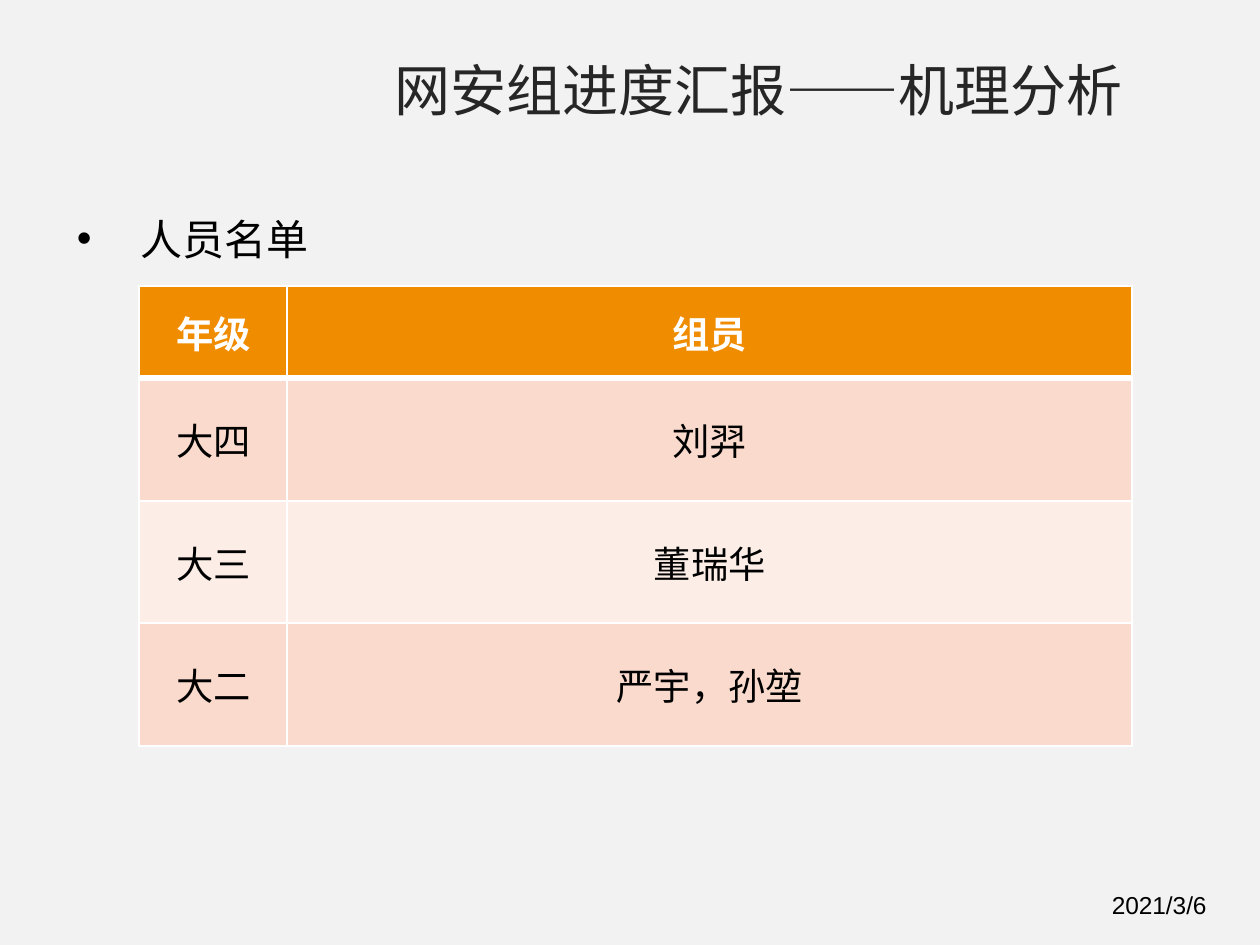
from lxml import etree
from pptx import Presentation
from pptx.dml.color import RGBColor
from pptx.enum import text
from pptx.oxml import ns
from pptx.util import Inches, Pt

BACKGROUND = RGBColor(0xF2, 0xF2, 0xF2)
INK = RGBColor(0x26, 0x26, 0x26)
BLACK = RGBColor(0, 0, 0)
WHITE = RGBColor(0xFF, 0xFF, 0xFF)
ORANGE = RGBColor(0xF0, 0x8C, 0x00)
BANDS = [RGBColor(0xF9, 0xDA, 0xCC), RGBColor(0xFC, 0xEE, 0xE7)]

SLIDE_WIDTH = Inches(7.5)
SLIDE_HEIGHT = SLIDE_WIDTH * 3 // 4

CJK_FONT = "Noto Sans CJK SC"
# text, (left, top, width, height), size, font, colour
TITLE = ("网安组进度汇报——机理分析", (2.25, 0.28, 4.8, 0.5), 24, CJK_FONT, INK)
HEADING = ("人员名单", (0.36, 1.22, 2.05, 0.49), 18, CJK_FONT, BLACK)
DATE = ("2021/3/6", (6.52, 5.25, 0.99, 0.28), 10.5, "Arial", BLACK)

MEMBERS = [
    ("年级", "组员"),
    ("大四", "刘羿"),
    ("大三", "董瑞华"),
    ("大二", "严宇，孙堃"),
]
TABLE_AT = (0.83, 1.7)
COLUMN_WIDTHS = [0.88, 5.03]
ROW_HEIGHTS = [0.55] + [0.73] * 3
CELL_FORMAT = {
    "margin_left": Inches(0.07), "margin_right": Inches(0.07),
    "margin_top": Inches(0.04), "margin_bottom": Inches(0.04),
    "vertical_anchor": text.MSO_ANCHOR.MIDDLE,
}


def write(para, words, size, font, color, bold=False):
    span = para.add_run()
    span.text = words
    for name, value in {"size": Pt(size), "name": font, "bold": bold}.items():
        setattr(span.font, name, value)
    span.font.color.rgb = color
    if font == CJK_FONT:
        east_asian = etree.SubElement(span.font._element, ns.qn("a:ea"))
        east_asian.set("typeface", font)


def add_label(page, words, place, size, font, color):
    box = page.shapes.add_textbox(*map(Inches, place))
    box.text_frame.word_wrap = True
    para = box.text_frame.paragraphs[0]
    write(para, words, size, font, color)
    return para


def add_bullet(para, indent):
    props = para._p.get_or_add_pPr()
    props.set("marL", str(Inches(indent)))
    props.set("indent", str(-Inches(indent)))
    etree.SubElement(props, ns.qn("a:buFont")).set("typeface", "Arial")
    etree.SubElement(props, ns.qn("a:buChar")).set("char", "•")


def set_borders(cell, widths):
    """Draw white cell borders; widths maps each side to points."""
    props = cell._tc.get_or_add_tcPr()
    for position, (side, width) in enumerate(widths.items()):
        line = etree.Element(ns.qn("a:ln" + side), w=str(Pt(width)))
        fill = etree.SubElement(line, ns.qn("a:solidFill"))
        etree.SubElement(fill, ns.qn("a:srgbClr")).set("val", str(WHITE))
        props.insert(position, line)


def add_member_table(page):
    size = (sum(COLUMN_WIDTHS), sum(ROW_HEIGHTS))
    frame = page.shapes.add_table(
        len(MEMBERS), len(COLUMN_WIDTHS), *map(Inches, TABLE_AT + size))
    table = frame.table
    for column, width in zip(table.columns, COLUMN_WIDTHS):
        column.width = Inches(width)
    for r, (row, height) in enumerate(zip(table.rows, ROW_HEIGHTS)):
        row.height = Inches(height)
        header = r == 0
        for cell, words in zip(row.cells, MEMBERS[r]):
            for name, value in CELL_FORMAT.items():
                setattr(cell, name, value)
            cell.fill.solid()
            cell.fill.fore_color.rgb = ORANGE if header else BANDS[(r - 1) % 2]
            set_borders(cell, {"L": 1, "R": 1, "T": 3 if r == 1 else 1,
                               "B": 3 if header else 1})
            para = cell.text_frame.paragraphs[0]
            para.alignment = text.PP_ALIGN.CENTER
            write(para, words, 16, "Calibri", WHITE if header else BLACK, header)


def main():
    deck = Presentation()
    deck.slide_width, deck.slide_height = SLIDE_WIDTH, SLIDE_HEIGHT
    page = deck.slides.add_slide(deck.slide_layouts[6])
    page.background.fill.solid()
    page.background.fill.fore_color.rgb = BACKGROUND
    add_bullet(add_label(page, *HEADING), 0.38)
    add_member_table(page)
    add_label(page, *TITLE)
    add_label(page, *DATE)
    deck.save("out.pptx")


if __name__ == "__main__":
    main()
